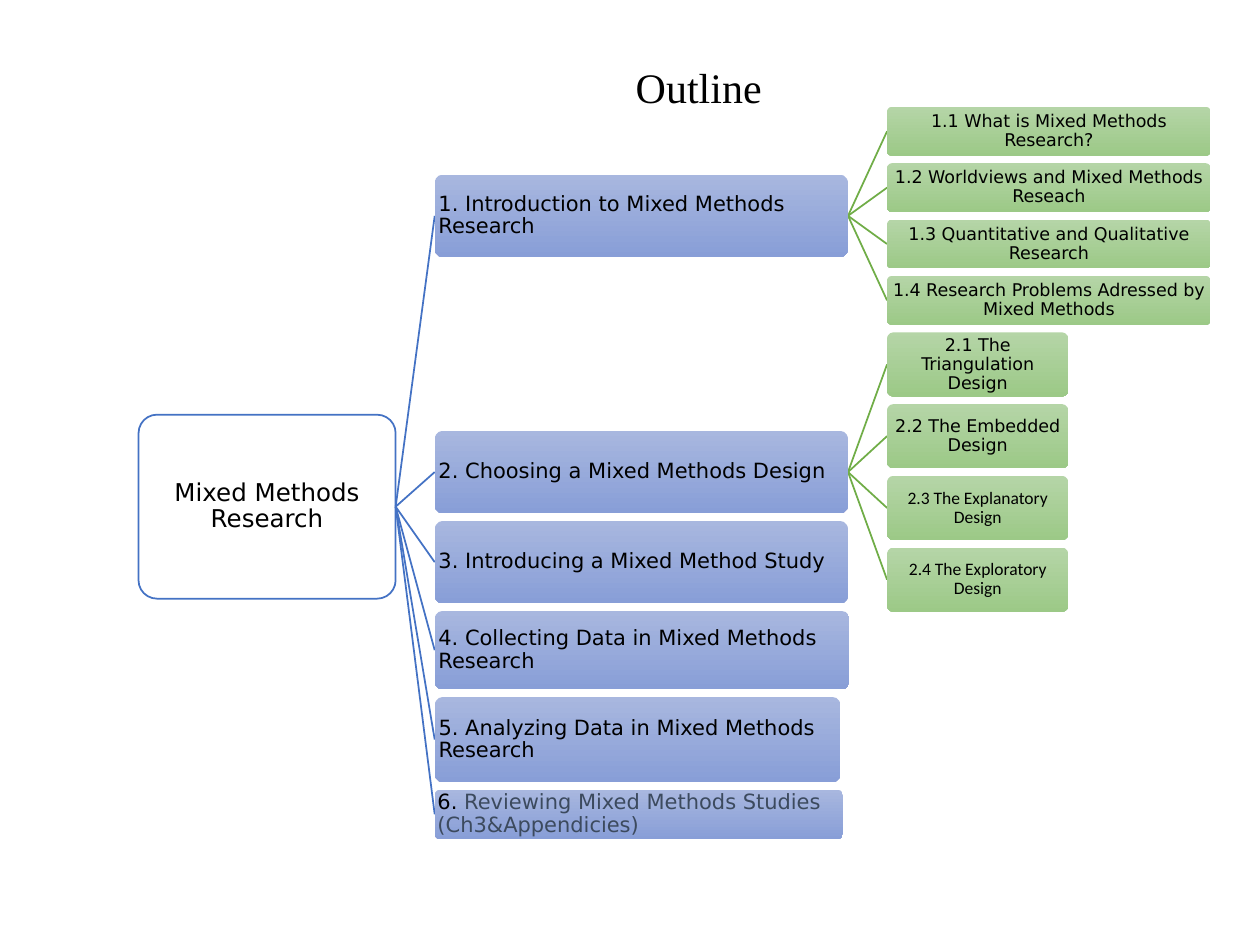
from pptx import Presentation
from pptx.dml.color import RGBColor
from pptx.enum.shapes import MSO_CONNECTOR, MSO_SHAPE
from pptx.enum.text import MSO_ANCHOR, PP_ALIGN
from pptx.util import Pt
from lxml import etree

ROUNDED = MSO_SHAPE.ROUNDED_RECTANGLE
STRAIGHT = MSO_CONNECTOR.STRAIGHT
MIDDLE, BOTTOM = MSO_ANCHOR.MIDDLE, MSO_ANCHOR.BOTTOM
LEFT, CENTER = PP_ALIGN.LEFT, PP_ALIGN.CENTER
DRAWING_NS = "http://schemas.openxmlformats.org/drawingml/2006/main"

COLORS = {
    "text": "000000",
    "muted": "3C4A5E",
    "paper": "FFFFFF",
    "blue": "4472C4",
    "green": "70AD47",
    "blue_top": "A8B7DF",
    "blue_bottom": "889ED7",
    "green_top": "B5D5A7",
    "green_bottom": "9CC987",
}
SANS, CALIBRI, SERIF = "DejaVu Sans", "Calibri", "Times New Roman"

GAP = 4.3
ROOT_LEFT, ROOT_WIDTH, ROOT_HEIGHT = 79.2, 146.9, 105.1
TOPIC_LEFT, SECTION_LEFT = 248.4, 506.9
FIRST_SECTION_TOP = 61.1

TOPICS = [
    ([("1. Introduction to Mixed Methods Research", "text")], 236.2, 47.2,
     (185, 27.9), [
         ("1.1 What is Mixed Methods Research?", SANS),
         ("1.2 Worldviews and Mixed Methods Reseach", SANS),
         ("1.3 Quantitative and Qualitative Research", SANS),
         ("1.4 Research Problems Adressed by Mixed Methods", SANS)]),
    ([("2. Choosing a Mixed Methods Design", "text")], 236.2, 47.2,
     (103.6, 36.7), [
         ("2.1 The Triangulation Design", SANS),
         ("2.2 The Embedded Design", SANS),
         ("2.3 The Explanatory Design", CALIBRI),
         ("2.4 The Exploratory Design", CALIBRI)]),
    ([("3. Introducing a Mixed Method Study", "text")], 236.2, 47.2, None, []),
    ([("4. Collecting Data in Mixed Methods Research", "text")],
     237, 44.8, None, []),
    ([("5. Analyzing Data in Mixed Methods Research", "text")],
     232, 48.8, None, []),
    ([("6. ", "text"),
      ("Reviewing Mixed Methods Studies (Ch3&Appendicies)", "muted")],
     233.2, 28, None, []),
]


class OutlineSlide:
    def __init__(self, slide):
        self.shapes = slide.shapes

    def color(self, name):
        return RGBColor.from_string(COLORS[name])

    def add_words(self, frame, runs, size, font, align, anchor):
        frame.word_wrap = True
        frame.vertical_anchor = anchor
        paragraph = frame.paragraphs[0]
        paragraph.alignment = align
        paragraph.line_spacing = 0.9
        for words, color in runs:
            run = paragraph.add_run()
            run.text = words
            run.font.size = Pt(size)
            run.font.name = font
            run.font.color.rgb = self.color(color)

    def title(self, words, left, top, width, height):
        box = self.shapes.add_textbox(Pt(left), Pt(top), Pt(width), Pt(height))
        self.add_words(box.text_frame, [(words, "text")], 24, SERIF, CENTER,
                       BOTTOM)

    def node(self, runs, left, top, width, height, size, hue=None,
             font=SANS, align=CENTER):
        node = self.shapes.add_shape(
            ROUNDED, Pt(left), Pt(top), Pt(width), Pt(height))
        node.adjustments[0] = 0.1
        node.shadow.inherit = False
        if hue:
            node.fill.gradient()
            node.fill.gradient_angle = 270
            for stop, end in zip(node.fill.gradient_stops, ("top", "bottom")):
                stop.color.rgb = self.color(f"{hue}_{end}")
            node.line.fill.background()
        else:
            node.fill.solid()
            node.fill.fore_color.rgb = self.color("paper")
            node.line.color.rgb = self.color("blue")
            node.line.width = Pt(1)
        frame = node.text_frame
        frame.margin_left = frame.margin_right = Pt(0.8)
        frame.margin_top = frame.margin_bottom = Pt(0.8)
        self.add_words(frame, runs, size, font, align, MIDDLE)

    def branch(self, start, end, hue):
        branch = self.shapes.add_connector(
            STRAIGHT, *(Pt(value) for value in (*start, *end)))
        branch.line.color.rgb = self.color(hue)
        branch.line.width = Pt(1)
        etree.SubElement(branch._element.spPr, f"{{{DRAWING_NS}}}effectLst")


def main():
    presentation = Presentation()
    presentation.slide_width, presentation.slide_height = Pt(720), Pt(540)
    outline = OutlineSlide(
        presentation.slides.add_slide(presentation.slide_layouts[6]))

    section_top = FIRST_SECTION_TOP
    topic_tops = []
    next_topic_top = 0
    for runs, width, height, section_size, sections in TOPICS:
        topic_top = next_topic_top
        if sections:
            section_width, section_height = section_size
            pitch = section_height + GAP
            topic_middle = section_top + (len(sections) * pitch - GAP) / 2
            topic_top = topic_middle - height / 2
            for words, font in sections:
                outline.branch(
                    (TOPIC_LEFT + width, topic_middle),
                    (SECTION_LEFT, section_top + section_height / 2), "green")
                outline.node([(words, "text")], SECTION_LEFT, section_top,
                             section_width, section_height, 10, "green", font)
                section_top += pitch
        topic_tops.append(topic_top)
        next_topic_top = topic_top + height + GAP

    root_middle = (topic_tops[0] + next_topic_top - GAP) / 2
    outline.node([("Mixed Methods Research", "text")], ROOT_LEFT,
                 root_middle - ROOT_HEIGHT / 2, ROOT_WIDTH, ROOT_HEIGHT, 14)
    for top, (runs, width, height, *_) in zip(topic_tops, TOPICS):
        outline.branch((ROOT_LEFT + ROOT_WIDTH, root_middle),
                       (TOPIC_LEFT, top + height / 2), "blue")
        outline.node(runs, TOPIC_LEFT, top, width, height, 12, "blue",
                     align=LEFT)

    outline.title("Outline", 78.5, 22.3, 641.5, 45.4)
    presentation.save("out.pptx")


if __name__ == "__main__":
    main()
